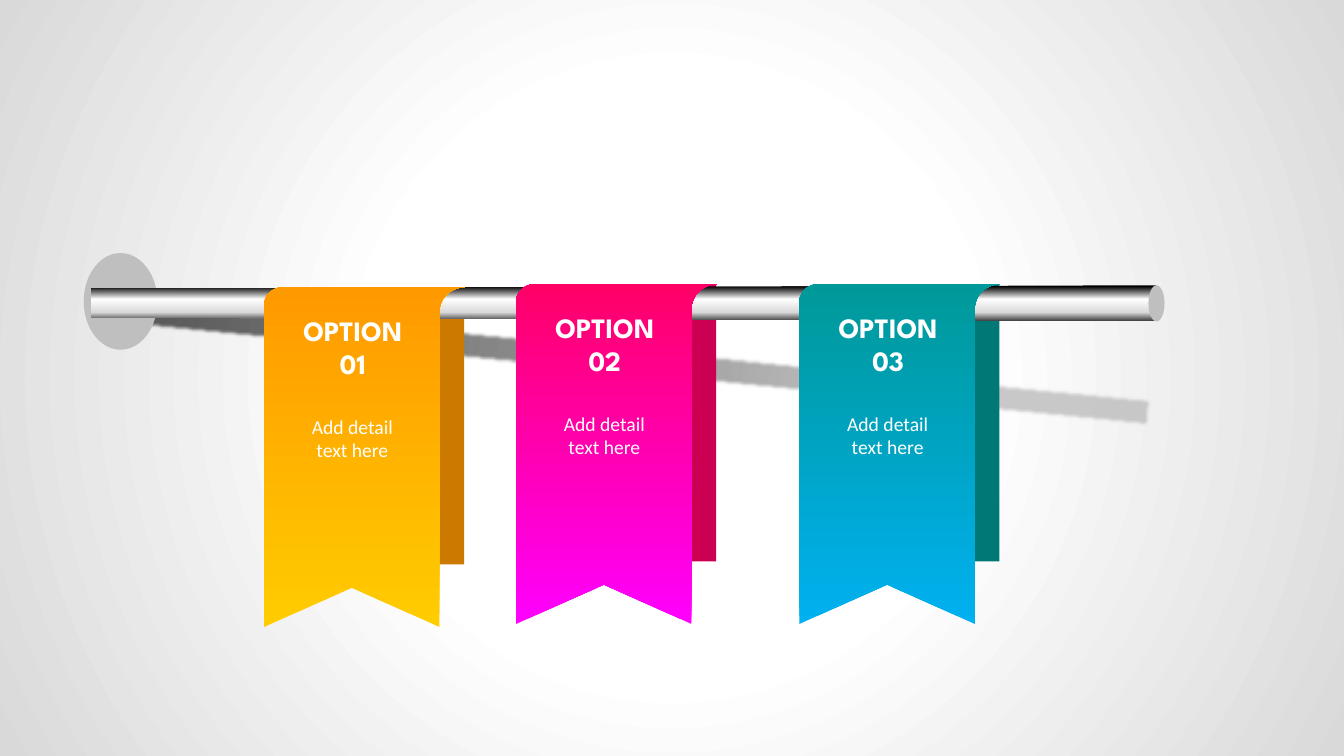
from lxml.etree import SubElement
from pptx import Presentation
from pptx.dml.color import RGBColor
from pptx.enum.shapes import MSO_SHAPE as Shape
from pptx.enum.text import MSO_AUTO_SIZE as AutoSize, PP_ALIGN as Align
from pptx.oxml.ns import qn
from pptx.util import Inches, Pt

COLORS = {
    "white": "FFFFFF", "black": "000000", "silver": "BFBFBF",
    "mist": "D9D9D9", "charcoal": "404040",
    "yellow": "FFCC00", "orange": "FF9900", "brown": "CC7900",
    "magenta": "FF00FF", "pink": "FF0066", "crimson": "CC0053",
    "sky": "00B0F0", "teal": "009999", "pine": "007976",
}
FORMATS = {
    "heading": {"name": "League Spartan", "size": Pt(20), "bold": True},
    "detail": {"name": "Calibri", "size": Pt(14), "bold": False},
}


def curve(start, pull_start, pull_end, end, steps=12):
    """Points of a cubic curve, without its first point."""
    points = []
    for step in range(1, steps + 1):
        t = step / steps
        weights = ((1 - t) ** 3, 3 * t * (1 - t) ** 2, 3 * t ** 2 * (1 - t), t ** 3)
        corners = (start, pull_start, pull_end, end)
        points.append(tuple(sum(w * c[axis] for w, c in zip(weights, corners))
                            for axis in (0, 1)))
    return points


# Ribbon outline relative to its top left corner
RIBBON = [
    (1.43, 0), (14.95, 0),
    *curve((14.95, 0), (13.9, 0), (13.05, 1.45), (13.05, 3.2)),
    (13.05, 44.93), (6.53, 39.73), (0, 44.93), (0, 2.4),
    *curve((0, 2.4), (0, 1.1), (0.6, 0), (1.43, 0)),
]


class Board:
    """Draws on one slide; all lengths are percent of its width or height."""

    def __init__(self, deck):
        self.slide = deck.slides.add_slide(deck.slide_layouts[6])
        self.shapes = self.slide.shapes
        self.width, self.height = deck.slide_width, deck.slide_height

    def across(self, share):
        return round(self.width * share / 100)

    def down(self, share):
        return round(self.height * share / 100)

    def box(self, left, top, width, height):
        return (self.across(left), self.down(top),
                self.across(width), self.down(height))

    def gradient(self, fill, owner, stops, angle=None):
        """Stops are (position, color, opacity); no angle means circular."""
        fill.gradient()
        gradient = next(owner.element.iter(qn("a:gradFill")))
        for child in list(gradient):
            gradient.remove(child)
        stop_list = SubElement(gradient, qn("a:gsLst"))
        for position, color, opacity in stops:
            stop = SubElement(stop_list, qn("a:gs"), pos=str(position * 1000))
            tint = SubElement(stop, qn("a:srgbClr"), val=COLORS[color])
            if opacity < 100:
                SubElement(tint, qn("a:alpha"), val=str(opacity * 1000))
        if angle is None:
            circle = SubElement(gradient, qn("a:path"), path="circle")
            SubElement(circle, qn("a:fillToRect"),
                       dict.fromkeys("ltrb", "50000"))
        else:
            SubElement(gradient, qn("a:lin"), ang=str(angle * 60000), scaled="0")

    def background(self, stops):
        self.gradient(self.slide.background.fill, self.slide, stops)

    def finish(self, shape, paint, angle):
        shape.shadow.inherit = False
        shape.line.fill.background()
        if isinstance(paint, str):
            shape.fill.solid()
            shape.fill.fore_color.rgb = RGBColor.from_string(COLORS[paint])
        else:
            self.gradient(shape.fill, shape, paint, angle)
        return shape

    def preset(self, kind, area, paint, angle=0):
        return self.finish(self.shapes.add_shape(kind, *self.box(*area)), paint, angle)

    def outline(self, points, paint, angle, left=0, top=0):
        spots = [(self.across(left + x), self.down(top + y)) for x, y in points]
        builder = self.shapes.build_freeform(*spots[0], scale=1.0)
        builder.add_line_segments(spots[1:], close=True)
        return self.finish(builder.convert_to_shape(), paint, angle)

    def soften(self, shape, radius):
        effects = next(shape.element.iter(qn("a:effectLst")))
        SubElement(effects, qn("a:softEdge"), rad=str(radius))

    def text(self, area, lines, style):
        frame = self.shapes.add_textbox(*self.box(*area)).text_frame
        frame.word_wrap = True
        frame.auto_size = AutoSize.SHAPE_TO_FIT_TEXT
        frame.text = "\n".join(lines)
        for paragraph in frame.paragraphs:
            paragraph.alignment = Align.CENTER
            for run in paragraph.runs:
                for attribute, value in FORMATS[style].items():
                    setattr(run.font, attribute, value)
                run.font.color.rgb = RGBColor.from_string(COLORS["white"])


def main():
    deck = Presentation()
    deck.slide_width, deck.slide_height = Inches(13.33), Inches(7.5)
    board = Board(deck)
    board.background([(39, "white", 100), (100, "mist", 100)])

    # Left, top, number, lower color, upper color, back color
    options = [
        (19.65, 38, "01", "yellow", "orange", "brown"),
        (38.4, 37.6, "02", "magenta", "pink", "crimson"),
        (59.48, 37.6, "03", "sky", "teal", "pine"),
    ]

    # Shadow cast by the rod
    rod_shadow = board.preset(Shape.RECTANGLE, (6.98, 45.6, 78.77, 4),
                              [(3, "black", 63), (77, "silver", 84)])
    rod_shadow.rotation = 5.6
    board.soften(rod_shadow, Pt(2.5))

    # Ribbon ends hanging behind the rod
    for left, top, _, _, _, back in options:
        board.preset(Shape.RECTANGLE, (left + 4.28, top, 10.6, 36.67), back)

    # Wall plate, rod and end cap
    board.preset(Shape.OVAL, (6.23, 33.47, 5.48, 12.8), "silver")
    metal = [(3, "black", 100), (39, "white", 100),
             (76, "mist", 100), (100, "charcoal", 100)]
    board.outline([(6.77, 38.2), (86.05, 37.73), (86.05, 42.45), (6.77, 42)],
                  metal, 90)
    board.preset(Shape.OVAL, (85.45, 37.73, 1.2, 4.8), "silver")

    # Ribbon fronts with their text
    for left, top, number, lower, upper, _ in options:
        board.outline(RIBBON, [(0, lower, 100), (100, upper, 100)], 270, left, top)
        board.text((left, top + 2.8, 13.2, 10.27), ["OPTION", number], "heading")
        board.text((left + 2.18, top + 16.2, 8.78, 7.6),
                   ["Add detail text here"], "detail")

    deck.save("out.pptx")


if __name__ == "__main__":
    main()
